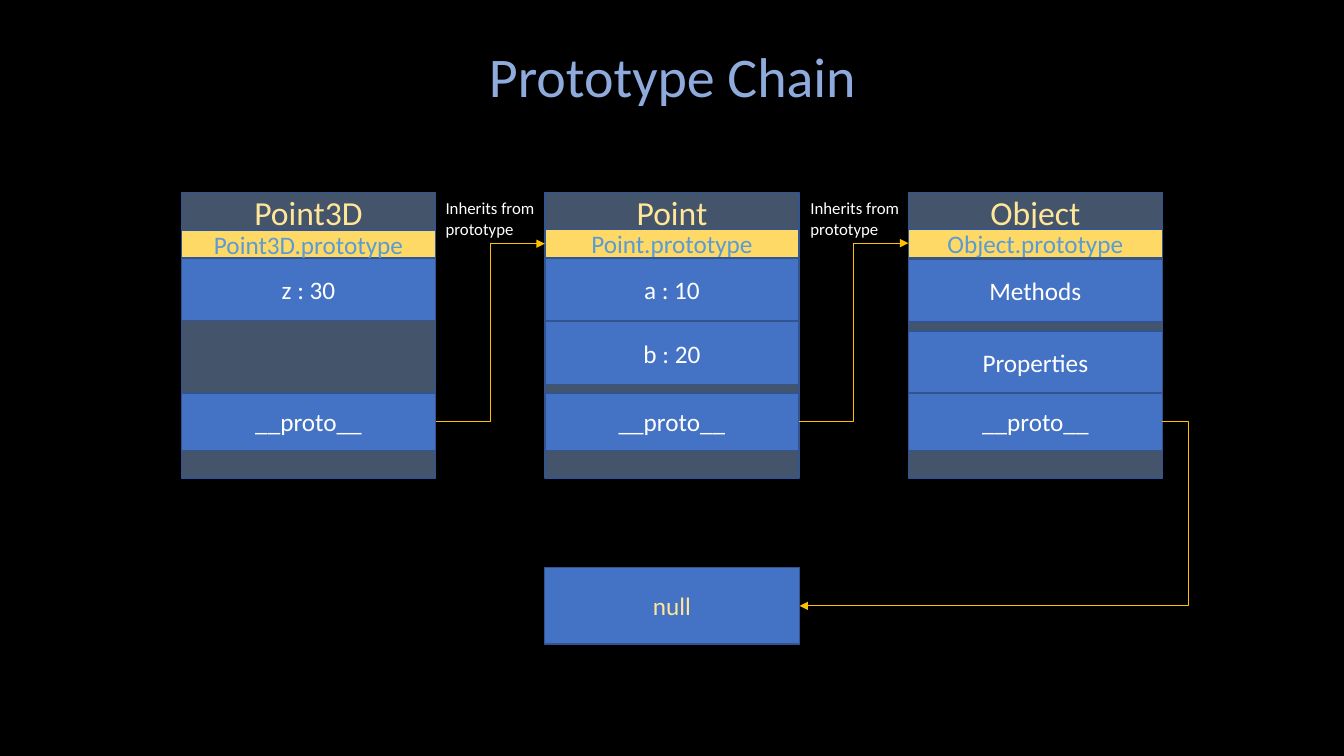
from dataclasses import dataclass

from lxml.etree import SubElement
from pptx import Presentation
from pptx.dml.color import RGBColor as Rgb
from pptx.enum.shapes import MSO_CONNECTOR as Connector, MSO_SHAPE as Preset
from pptx.enum.text import MSO_ANCHOR as Anchor, MSO_AUTO_SIZE as AutoSize, PP_ALIGN as Align
from pptx.oxml.ns import qn
from pptx.util import Pt


@dataclass(frozen=True)
class Theme:
    """Colours, type sizes and line widths of the slide."""
    font: str = "Calibri"
    background: str = "000000"
    title: str = "8FAADC"
    panel: str = "44546A"
    cell: str = "4472C4"
    header: str = "FFD966"
    outline: str = "325491"
    arrow: str = "FFC000"
    light: str = "FFFFFF"
    name: str = "FFE699"
    header_text: str = "5B9BD5"
    title_size: int = 40
    name_size: int = 24
    cell_size: int = 18
    note_size: int = 12
    outline_width: float = 1
    arrow_width: float = 0.5


THEME = Theme()
LEFT, PITCH, WIDTH = 129.6, 259.6, 181.6
PANEL_TOP, PANEL_HEIGHT = 137.6, 203.8
HEADER_HEIGHT, MEMBER_HEIGHT = 20.2, 44.8
PROTO_TOP, PROTO_HEIGHT = 280.8, 41
NOTE_WIDTH, NOTE_HEIGHT = 78.4, 36
LEFT_SITE, RIGHT_SITE = 1, 3

# Class name, top of its prototype header, members with their tops
CHAIN = [
    ("Point3D", 164.2, [("z : 30", 184.4)]),
    ("Point", 164, [("a : 10", 184.2), ("b : 20", 229.8)]),
    ("Object", 163.6, [("Methods", 185.2), ("Properties", 236.4)]),
]


def write(frame, lines, size, color, align=Align.CENTER):
    """Put each line into its own paragraph as one styled run."""
    for index, line in enumerate(lines):
        paragraph = frame.add_paragraph() if index else frame.paragraphs[0]
        paragraph.alignment = align
        run = paragraph.add_run()
        run.text = line
        run.font.name = THEME.font
        run.font.size = Pt(size)
        run.font.color.rgb = Rgb.from_string(color)


def add_box(slide, bounds, fill, text=None, color=THEME.light):
    """Add an outlined rectangle, with a centred label if there is one."""
    box = slide.shapes.add_shape(Preset.RECTANGLE, *map(Pt, bounds))
    box.shadow.inherit = False
    box.fill.solid()
    box.fill.fore_color.rgb = Rgb.from_string(fill)
    box.line.color.rgb = Rgb.from_string(THEME.outline)
    box.line.width = Pt(THEME.outline_width)
    if text:
        box.text_frame.vertical_anchor = Anchor.MIDDLE
        write(box.text_frame, [text], THEME.cell_size, color)
    return box


def add_label(slide, bounds, lines, size, color, align=Align.CENTER):
    """Add a wrapping text box that fits its text."""
    frame = slide.shapes.add_textbox(*map(Pt, bounds)).text_frame
    frame.word_wrap = True
    frame.auto_size = AutoSize.SHAPE_TO_FIT_TEXT
    write(frame, lines, size, color, align)


def add_link(slide, source, target, target_site, bend=None):
    """Join the right side of source to a side of target with an elbow arrow."""
    end_x = target.left + (target.width if target_site == RIGHT_SITE else 0)
    link = slide.shapes.add_connector(
        Connector.ELBOW,
        source.left + source.width, source.top + source.height // 2,
        end_x, target.top + target.height // 2)
    link.begin_connect(source, RIGHT_SITE)
    link.end_connect(target, target_site)
    link.line.color.rgb = Rgb.from_string(THEME.arrow)
    link.line.width = Pt(THEME.arrow_width)
    properties = link._element.spPr
    SubElement(properties.find(qn("a:ln")), qn("a:tailEnd"), type="triangle")
    SubElement(properties, qn("a:effectLst"))
    if bend is not None:
        guides = properties.find(qn("a:prstGeom")).find(qn("a:avLst"))
        SubElement(guides, qn("a:gd"), name="adj1", fmla=f"val {round(bend * 100000)}")


def add_class(slide, left, name, header_top, members):
    """Draw one class; return its prototype header and its __proto__ cell."""
    add_box(slide, (left, PANEL_TOP, WIDTH, PANEL_HEIGHT), THEME.panel)
    add_label(slide, (left, 133.2, WIDTH, 36), [name], THEME.name_size, THEME.name)
    for member, top in members:
        add_box(slide, (left, top, WIDTH, MEMBER_HEIGHT), THEME.cell, member)
    proto = add_box(slide, (left, PROTO_TOP, WIDTH, PROTO_HEIGHT), THEME.cell, "__proto__")
    header = add_box(slide, (left, header_top, WIDTH, HEADER_HEIGHT),
                     THEME.header, f"{name}.prototype", THEME.header_text)
    return header, proto


def add_title(slide, text):
    """Place and format the title placeholder."""
    title = slide.shapes.title
    title.left, title.top, title.width, title.height = map(Pt, (147.6, 25.9, 665.3, 55.4))
    frame = title.text_frame
    frame.word_wrap = True
    frame.auto_size = AutoSize.SHAPE_TO_FIT_TEXT
    frame.vertical_anchor = Anchor.TOP
    write(frame, [text], THEME.title_size, THEME.title)


def main():
    """Build the prototype chain slide and save it."""
    deck = Presentation()
    deck.slide_width, deck.slide_height = Pt(960), Pt(540)
    slide = deck.slides.add_slide(deck.slide_layouts[5])
    slide.background.fill.solid()
    slide.background.fill.fore_color.rgb = Rgb.from_string(THEME.background)
    add_title(slide, "Prototype Chain")

    classes = [add_class(slide, LEFT + index * PITCH, *entry)
               for index, entry in enumerate(CHAIN)]
    null = add_box(slide, (388.8, 405.4, 182.4, 54.7), THEME.cell, "null", THEME.name)

    for index, ((_, proto), (parent, _)) in enumerate(zip(classes, classes[1:])):
        add_link(slide, proto, parent, LEFT_SITE)
        note_left = LEFT + WIDTH + index * (PITCH + 1)
        add_label(slide, (note_left, 138, NOTE_WIDTH, NOTE_HEIGHT),
                  ["Inherits from ", "prototype"],
                  THEME.note_size, THEME.light, Align.LEFT)
    add_link(slide, classes[-1][1], null, RIGHT_SITE, bend=-0.07)

    deck.save("out.pptx")


main()
